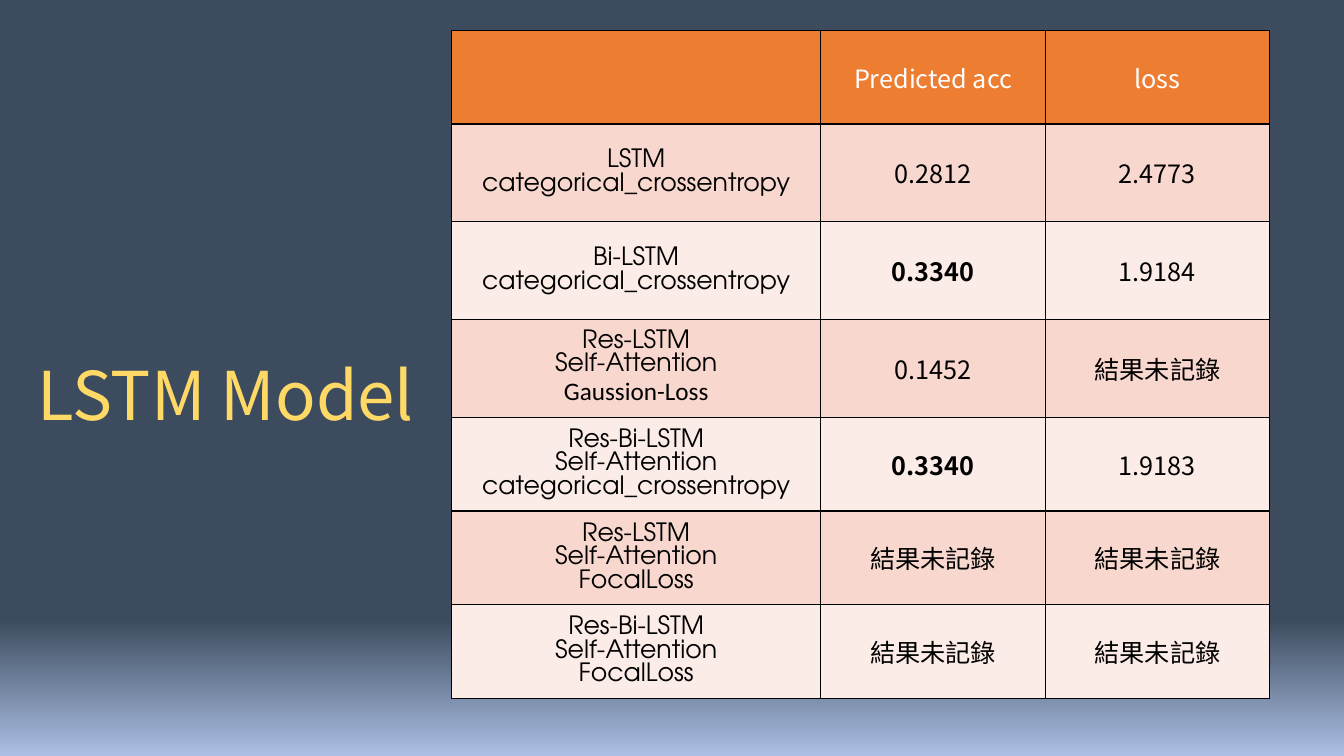
from lxml import etree
from pptx import Presentation
from pptx.dml.color import RGBColor
from pptx.enum.text import MSO_ANCHOR, PP_ALIGN
from pptx.oxml.ns import qn
from pptx.util import Inches, Pt

CENTER, MIDDLE = PP_ALIGN.CENTER, MSO_ANCHOR.MIDDLE
SANS, LABEL = "Noto Sans CJK SC", "TeX Gyre Adventor"
HEADER_FILL, BAND_FILLS = "ED7D31", ("FCECE8", "F8D7CE")
COL_WIDTHS = (3.66, 2.23, 2.22)
ROW_HEIGHTS = (0.93, 0.97, 0.97, 0.97, 0.93, 0.93, 0.93)
BEST_ACC = "0.3340"
MISSING = "結果未記錄"
# In the labels \n starts a paragraph and \v breaks a line
ROWS = [
    ("", "Predicted acc", "loss"),
    ("LSTM\vcategorical_crossentropy", "0.2812", "2.4773"),
    ("Bi-LSTM\vcategorical_crossentropy", BEST_ACC, "1.9184"),
    ("Res-LSTM\nSelf-Attention\vGaussion-Loss", "0.1452", MISSING),
    ("Res-Bi-LSTM\nSelf-Attention\vcategorical_crossentropy", BEST_ACC, "1.9183"),
    ("Res-LSTM\nSelf-Attention\vFocalLoss", MISSING, MISSING),
    ("Res-Bi-LSTM\nSelf-Attention\nFocalLoss", MISSING, MISSING),
]


def rgb(color):
    return RGBColor.from_string(color)


def add_borders(cell, color, width):
    tc_pr = cell._tc.get_or_add_tcPr()
    for i, side in enumerate(("lnL", "lnR", "lnT", "lnB")):
        ln = etree.Element(qn(f"a:{side}"), w=str(Pt(width)))
        fill = etree.SubElement(ln, qn("a:solidFill"))
        etree.SubElement(fill, qn("a:srgbClr"), val=color)
        tc_pr.insert(i, ln)


prs = Presentation()
prs.slide_width, prs.slide_height = Inches(13.33), Inches(7.5)
s = prs.slides.add_slide(prs.slide_layouts[5])

# Background
bg = s.background.fill
bg.gradient()
bg.gradient_angle = 270
for stop, (position, color) in zip(bg.gradient_stops, ((0.82, "3D4B5E"), (1, "ABC0E4"))):
    stop.position = position
    stop.color.rgb = rgb(color)

# Title
title = s.shapes.title
title.left, title.top = Inches(0), Inches(3.3)
title.width, title.height = Inches(4.48), Inches(1.31)
tf = title.text_frame
tf.text = "LSTM Model"
tf.vertical_anchor = MIDDLE
p = tf.paragraphs[0]
p.alignment, p.line_spacing = CENTER, 0.9
font = p.runs[0].font
font.name, font.size, font.color.rgb = "Noto Sans CJK TC", Pt(48), rgb("FFD966")

# Results table
table = s.shapes.add_table(
    len(ROWS), len(COL_WIDTHS), Inches(4.48), Inches(0.3),
    Inches(sum(COL_WIDTHS)), Inches(sum(ROW_HEIGHTS))).table
table.first_row = table.horz_banding = False
for column, width in zip(table.columns, COL_WIDTHS):
    column.width = Inches(width)
for row, height in zip(table.rows, ROW_HEIGHTS):
    row.height = Inches(height)

for r, texts in enumerate(ROWS):
    for c, text in enumerate(texts):
        cell = table.cell(r, c)
        cell.fill.solid()
        cell.fill.fore_color.rgb = rgb(BAND_FILLS[r % 2] if r else HEADER_FILL)
        cell.vertical_anchor = MIDDLE
        add_borders(cell, "000000", 1)
        cell.text = text
        for p in cell.text_frame.paragraphs:
            p.alignment = CENTER
            for run in p.runs:
                font = run.font
                font.name = LABEL if c == 0 else SANS
                if run.text == "Gaussion-Loss":
                    font.name = "Calibri"
                font.size, font.bold = Pt(18), text == BEST_ACC
                font.color.rgb = rgb("000000" if r else "FFFFFF")
                if text == MISSING:
                    etree.SubElement(run._r.get_or_add_rPr(), qn("a:ea"), typeface=SANS)

prs.save("out.pptx")
